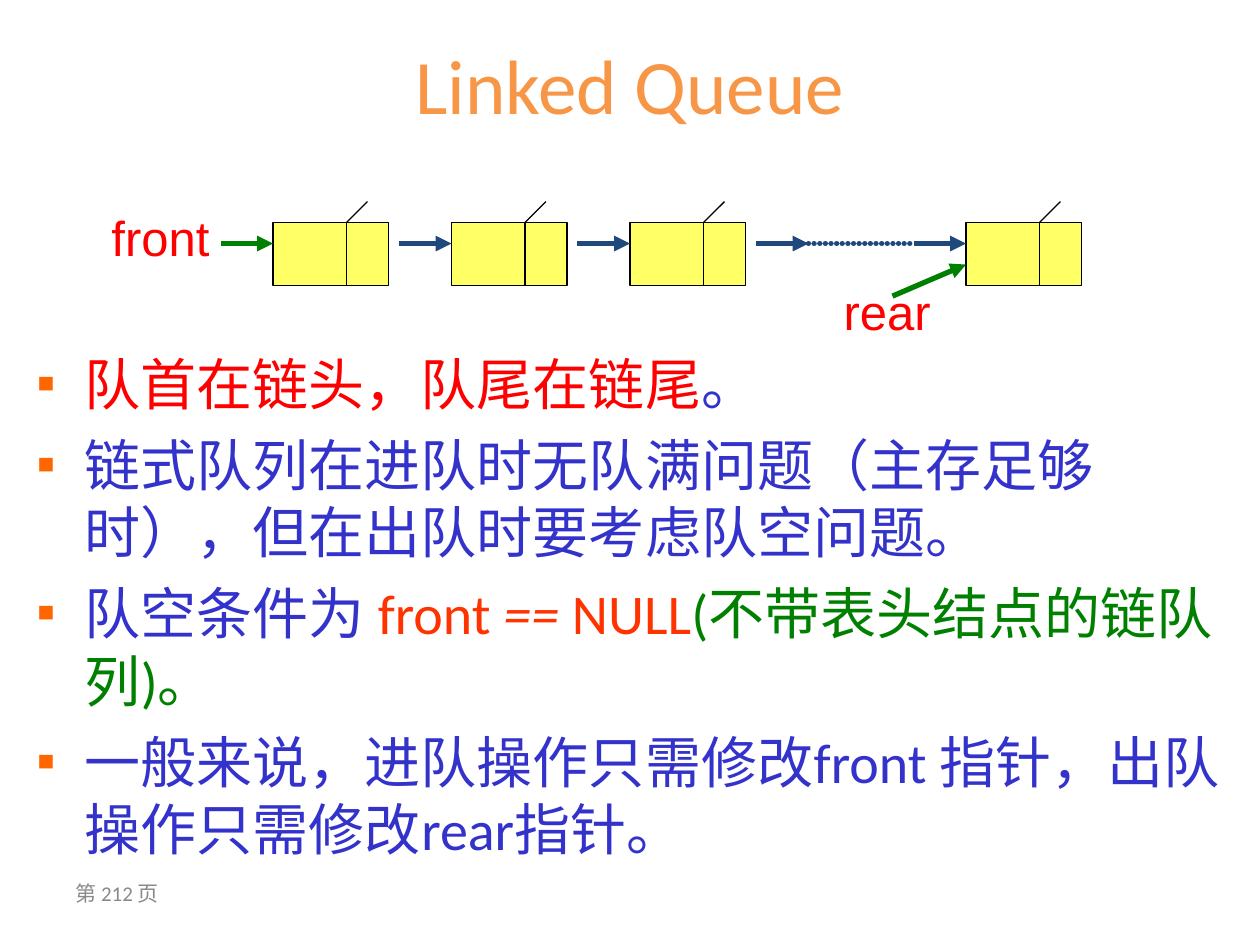
"""Build the linked queue slide: a node chain above four remarks."""
import pptx
import pptx.dml.color
import pptx.enum.shapes
import pptx.enum.text
import pptx.oxml
import pptx.oxml.ns
import pptx.util

Pt = pptx.util.Pt
RGBColor = pptx.dml.color.RGBColor
Anchor = pptx.enum.text.MSO_ANCHOR

RED = RGBColor(0xFF, 0x00, 0x00)
SCARLET = RGBColor(0xFF, 0x33, 0x00)
BLUE = RGBColor(0x33, 0x33, 0xCC)
GREEN = RGBColor(0x00, 0x80, 0x00)
NAVY = RGBColor(0x1F, 0x49, 0x7D)
YELLOW = RGBColor(0xFF, 0xFF, 0x66)
ORANGE = RGBColor(0xF7, 0x96, 0x46)
GRAY = RGBColor(0x89, 0x89, 0x89)
BLACK = RGBColor(0x00, 0x00, 0x00)

TITLE = "Linked Queue"
PAGE_LABEL = "第 212 页"
REMARKS = [
    [("队首在链头，队尾在链尾", RED, False), ("。", BLUE, False)],
    [("链式队列在进队时无队满问题（主存足够时），但在出队时要考虑队空问题。", BLUE, False)],
    [
        ("队空条件为 ", BLUE, False),
        ("front ", SCARLET, False),
        ("==", SCARLET, True),
        (" NULL", SCARLET, False),
        ("(不带表头结点的链队列)。", GREEN, False),
    ],
    [("一般来说，进队操作只需修改front 指针，出队操作只需修改rear指针。", BLUE, False)],
]
POINTER_LABELS = [("front", 56.6, 115.2, 74), ("rear", 475, 157.4, 68)]

NODE_LEFTS = [156, 258, 360, 552]
NODE_TOP, NODE_WIDTH, NODE_HEIGHT = 127.2, 66, 36
DIVIDER, SLASH = 42, 12
LINK_Y, LINK_LENGTH = 139.2, 30
DOTS_START = 462

NAMESPACE = 'xmlns:a="http://schemas.openxmlformats.org/drawingml/2006/main"'


def element(tag, attributes="", content=""):
    return pptx.oxml.parse_xml(f"<a:{tag} {NAMESPACE} {attributes}>{content}</a:{tag}>")


def add_line(page, start, end, color, width, arrow=False, dotted=False):
    line = page.shapes.add_connector(
        pptx.enum.shapes.MSO_CONNECTOR.STRAIGHT, *(Pt(value) for value in (*start, *end))
    )
    line.line.color.rgb = color
    line.line.width = Pt(width)
    properties = line._element.spPr
    properties.append(element("effectLst"))
    outline = properties.find(pptx.oxml.ns.qn("a:ln"))
    if dotted:
        outline.set("cap", "rnd")
        outline.append(element("custDash", content='<a:ds d="100000" sp="7000"/>'))
    if arrow:
        outline.append(element("tailEnd", 'type="triangle"'))


def add_node(page, left):
    node = page.shapes.add_shape(
        pptx.enum.shapes.MSO_SHAPE.RECTANGLE,
        Pt(left), Pt(NODE_TOP), Pt(NODE_WIDTH), Pt(NODE_HEIGHT),
    )
    node.shadow.inherit = False
    node.fill.solid()
    node.fill.fore_color.rgb = YELLOW
    node.line.color.rgb = BLACK
    node.line.width = Pt(0.75)
    split = left + DIVIDER
    for end in ((split, NODE_TOP + NODE_HEIGHT), (split + SLASH, NODE_TOP - SLASH)):
        add_line(page, (split, NODE_TOP), end, BLACK, 0.75)


def add_link(page, end, color):
    add_line(page, (end - LINK_LENGTH, LINK_Y), (end, LINK_Y), color, 3, arrow=True)


def add_label(page, text, bounds, font_name, size, color, anchor=Anchor.TOP):
    box = page.shapes.add_textbox(*(Pt(value) for value in bounds))
    box.text_frame.word_wrap = True
    box.text_frame.vertical_anchor = anchor
    para = box.text_frame.paragraphs[0]
    para.text = text
    set_font(para.font, font_name, size, color)


def set_font(font, name, size, color):
    font.name = name
    font.size = Pt(size)
    font.color.rgb = color


def add_remarks(page):
    box = page.shapes.add_textbox(Pt(14.4), Pt(196), Pt(695), Pt(312))
    frame = box.text_frame
    frame.word_wrap = True
    for index, spans in enumerate(REMARKS):
        para = frame.add_paragraph() if index else frame.paragraphs[0]
        if index:
            para.space_before = Pt(8)
        properties = para._p.get_or_add_pPr()
        properties.set("marL", str(Pt(27)))
        properties.set("indent", str(Pt(-27)))
        properties.set("hangingPunct", "0")
        properties.append(element("buClr", content='<a:srgbClr val="FF6600"/>'))
        properties.append(element("buSzPct", 'val="50000"'))
        properties.append(element("buFont", 'typeface="Arial"'))
        properties.append(element("buChar", 'char="■"'))
        para.font.name = "Calibri"
        para.font.size = Pt(32)
        for text, color, italic in spans:
            span = para.add_run()
            span.text = text
            span.font.color.rgb = color
            if italic:
                span.font.italic = True


def main():
    deck = pptx.Presentation()
    deck.slide_width, deck.slide_height = Pt(720), Pt(540)
    page = deck.slides.add_slide(deck.slide_layouts[5])

    title = page.shapes.title
    title.left, title.top, title.width, title.height = Pt(0), Pt(18), Pt(720), Pt(60)
    title.text_frame.text = TITLE
    title.text_frame.vertical_anchor = Anchor.MIDDLE
    para = title.text_frame.paragraphs[0]
    para.alignment = pptx.enum.text.PP_ALIGN.CENTER
    set_font(para.font, "Calibri", 44, ORANGE)

    add_label(page, PAGE_LABEL, (36, 491.6, 168, 37.4), "Calibri", 12, GRAY, Anchor.MIDDLE)
    add_remarks(page)

    for left in NODE_LEFTS:
        add_node(page, left)
    add_link(page, NODE_LEFTS[0], GREEN)
    for end in (*NODE_LEFTS[1:], DOTS_START):
        add_link(page, end, NAVY)
    dots_end = NODE_LEFTS[-1] - LINK_LENGTH
    add_line(page, (DOTS_START, LINK_Y), (dots_end, LINK_Y), NAVY, 3, dotted=True)
    add_line(page, (510, 169.2), (NODE_LEFTS[-1], 151.2), GREEN, 3, arrow=True)
    for text, left, top, width in POINTER_LABELS:
        add_label(page, text, (left, top, width, 41), "Arial", 28, RED)

    deck.save("out.pptx")


if __name__ == "__main__":
    main()
